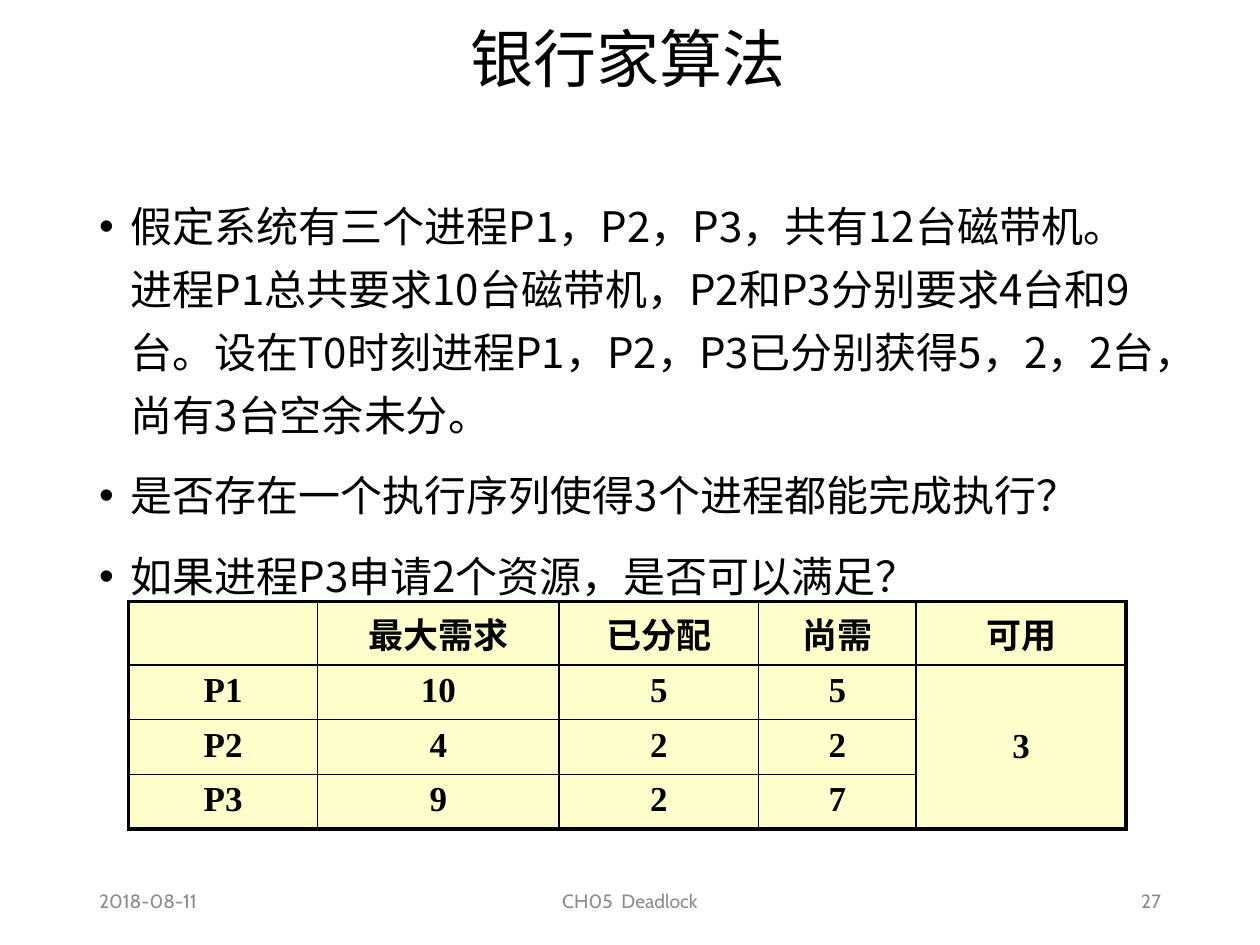
from typing import NamedTuple

from lxml import etree
from pptx import Presentation
from pptx.dml.color import RGBColor
from pptx.enum.text import MSO_ANCHOR, MSO_AUTO_SIZE, PP_ALIGN
from pptx.oxml.ns import qn
from pptx.util import Pt

LEFT, CENTER, RIGHT = PP_ALIGN.LEFT, PP_ALIGN.CENTER, PP_ALIGN.RIGHT
TOP, MIDDLE = MSO_ANCHOR.TOP, MSO_ANCHOR.MIDDLE
NO_AUTOFIT = MSO_AUTO_SIZE.NONE

COLORS = {"text": "000000", "footer": "8C8C8C", "cell": "FFFFCC", "border": "000000"}
CJK, SERIF, FOOTER_FONT = "Noto Sans CJK SC", "Times New Roman", "Cabin"
OUTER, INNER = 2.25, 1


class Footer(NamedTuple):
    text: str
    left: float
    width: float
    align: PP_ALIGN


FOOTERS = [
    Footer("2018-08-11", 49.5, 162, LEFT),
    Footer("CH05  Deadlock", 238.5, 243, CENTER),
    Footer("27", 508.5, 162, RIGHT),
]
QUESTIONS = [
    "假定系统有三个进程P1，P2，P3，共有12台磁带机。进程P1总共要求10台磁带机，"
    "P2和P3分别要求4台和9台。设在T0时刻进程P1，P2，P3已分别获得5，2，2台，尚有3台空余未分。",
    "是否存在一个执行序列使得3个进程都能完成执行？",
    "如果进程P3申请2个资源，是否可以满足？",
]
ALLOCATION = [
    ["", "最大需求", "已分配", "尚需", "可用"],
    ["P1", "10", "5", "5", "3"],
    ["P2", "4", "2", "2", ""],
    ["P3", "9", "2", "7", ""],
]
COL_WIDTHS = [108, 138, 114, 90, 120]
ROW_HEIGHTS = [36.25, 31, 31, 31]


def style(p, size: float, font: str, color: str, align: PP_ALIGN = LEFT,
          bold: bool = False) -> None:
    p.alignment = align
    for r in p.runs:
        r.font.size, r.font.name, r.font.bold = Pt(size), font, bold
        r.font.color.rgb = RGBColor.from_string(COLORS[color])
        ea = etree.SubElement(r.font._element, qn("a:ea"))
        ea.set("typeface", CJK)


def place(sp, left: float, top: float, width: float, height: float) -> None:
    sp.left, sp.top, sp.width, sp.height = Pt(left), Pt(top), Pt(width), Pt(height)


def set_bullet(p) -> None:
    pPr = p._p.get_or_add_pPr()
    pPr.set("marL", str(Pt(18)))
    pPr.set("indent", str(-Pt(18)))
    etree.SubElement(pPr, qn("a:buFont")).set("typeface", "Arial")
    etree.SubElement(pPr, qn("a:buChar")).set("char", "•")


def set_borders(cell, widths: dict[str, float]) -> None:
    tcPr = cell._tc.get_or_add_tcPr()
    for i, (side, width) in enumerate(widths.items()):
        ln = etree.Element(qn(f"a:ln{side}"), w=str(Pt(width)))
        fill = etree.SubElement(ln, qn("a:solidFill"))
        etree.SubElement(fill, qn("a:srgbClr")).set("val", COLORS["border"])
        tcPr.insert(i, ln)


def add_footer(s, footer: Footer) -> None:
    sp = s.shapes.add_textbox(Pt(footer.left), Pt(500.5), Pt(footer.width), Pt(28.75))
    tf = sp.text_frame
    tf.word_wrap = True
    tf.vertical_anchor = MIDDLE
    tf.text = footer.text
    style(tf.paragraphs[0], 11, FOOTER_FONT, "footer", footer.align)


def add_allocation_table(s) -> None:
    last_row, last_col = len(ROW_HEIGHTS) - 1, len(COL_WIDTHS) - 1
    table = s.shapes.add_table(last_row + 1, last_col + 1, Pt(73.5), Pt(343.75),
                               Pt(sum(COL_WIDTHS)), Pt(sum(ROW_HEIGHTS))).table
    table.first_row = table.horz_banding = False
    for col, width in zip(table.columns, COL_WIDTHS):
        col.width = Pt(width)
    for i, values in enumerate(ALLOCATION):
        table.rows[i].height = Pt(ROW_HEIGHTS[i])
        for j, value in enumerate(values):
            cell = table.cell(i, j)
            cell.fill.solid()
            cell.fill.fore_color.rgb = RGBColor.from_string(COLORS["cell"])
            cell.vertical_anchor = TOP
            if value:
                cell.text = value
                style(cell.text_frame.paragraphs[0], 20, SERIF, "text", CENTER, True)
            in_merged = j == last_col and i > 0
            set_borders(cell, {
                "L": OUTER if j == 0 else INNER,
                "R": OUTER if j == last_col else INNER,
                "T": OUTER if i == 0 else INNER,
                "B": OUTER if i == last_row or in_merged else INNER,
            })
    # One shared "available" cell for all processes
    available = table.cell(1, last_col)
    available.merge(table.cell(last_row, last_col))
    available.vertical_anchor = MIDDLE


prs = Presentation()
prs.slide_width, prs.slide_height = Pt(720), Pt(540)
s = prs.slides.add_slide(prs.slide_layouts[1])

# Title
title = s.shapes.title
place(title, 48.5, 7.75, 621, 55)
tf = title.text_frame
tf.auto_size = NO_AUTOFIT
tf.vertical_anchor = MIDDLE
tf.text = "银行家算法"
tf.paragraphs[0].line_spacing = 0.9
style(tf.paragraphs[0], 36, CJK, "text", CENTER)

# Problem statement
body = s.placeholders[1]
place(body, 49.5, 103.75, 621, 387.5)
tf = body.text_frame
tf.auto_size = NO_AUTOFIT
tf.text = "\n".join(QUESTIONS)
for p in tf.paragraphs:
    p.line_spacing = 1.25
    p.space_before = Pt(10)
    style(p, 24, CJK, "text")
    set_bullet(p)

# Footer
for footer in FOOTERS:
    add_footer(s, footer)

# Resource allocation
add_allocation_table(s)

prs.save("out.pptx")
